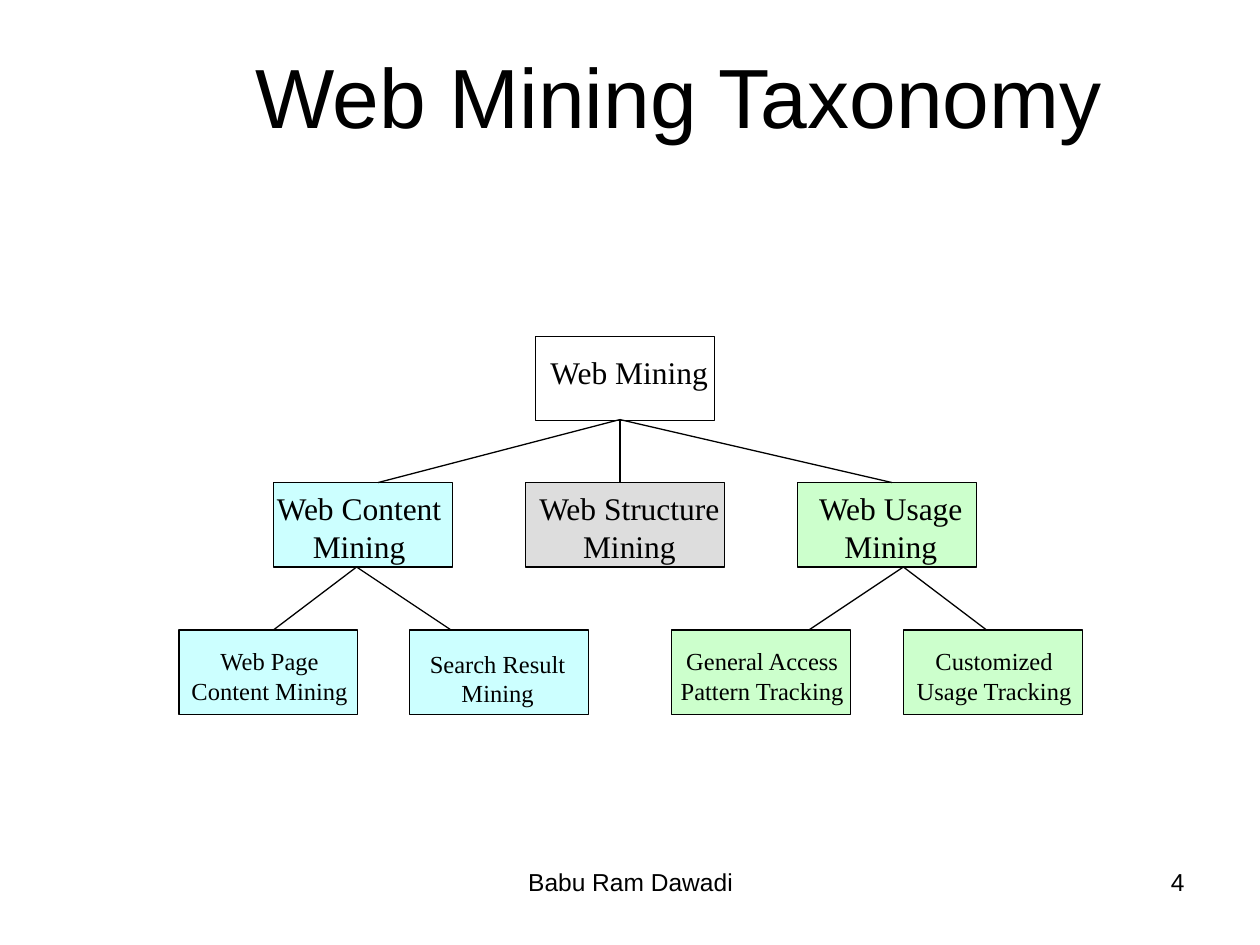
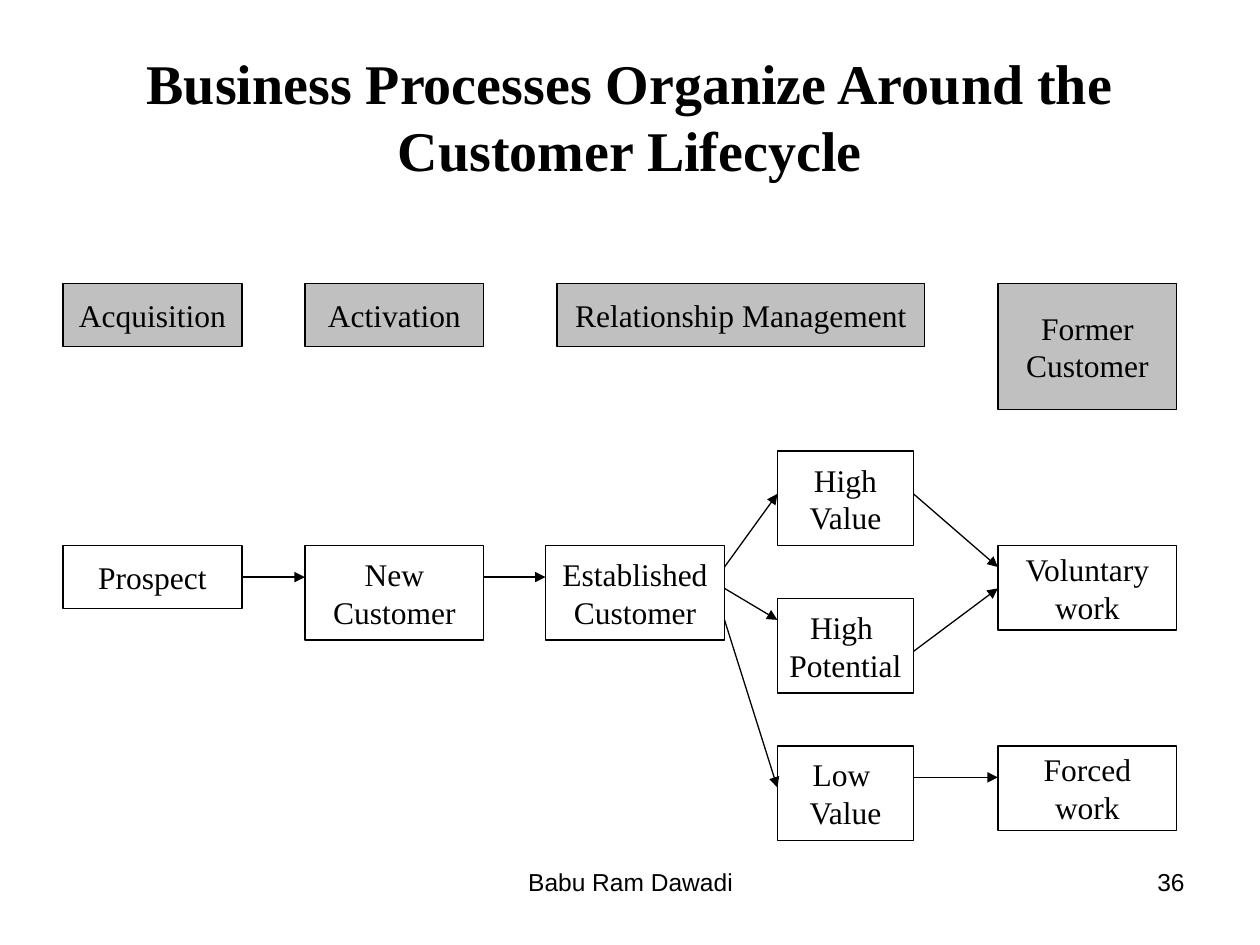
from lxml.etree import SubElement
from pptx import Presentation
from pptx.dml.color import RGBColor
from pptx.enum.shapes import MSO_CONNECTOR as Connector, MSO_SHAPE as Shape
from pptx.enum.text import MSO_ANCHOR as Anchor, PP_ALIGN as Align
from pptx.oxml.ns import qn
from pptx.util import Inches, Pt

BLACK, WHITE, SILVER, GRAY = "000000", "FFFFFF", "C0C0C0", "DDDDDD"
CYAN, GREEN = "CCFFFF", "CCFFCC"
SANS, SERIF = "Arial", "Times New Roman"


def color(hex_string):
    return RGBColor.from_string(hex_string)


class Deck:
    """Holds the shared style and the slide being built."""

    line_width = Pt(0.75)

    def __init__(self):
        self.prs = Presentation()
        self.prs.slide_width, self.prs.slide_height = Inches(10), Inches(7.5)
        self.slide = None

    def new_slide(self, number):
        self.slide = self.prs.slides.add_slide(self.prs.slide_layouts[6])
        self.text("Babu Ram Dawadi", (3.42, 6.83, 3.17, 0.52), 14, SANS, wrap=True)
        self.text(str(number), (7.17, 6.83, 2.33, 0.52), 14, SANS,
                  align=Align.RIGHT, wrap=True)

    def fill_frame(self, frame, words, size, font, bold=False, align=Align.CENTER,
                   anchor=Anchor.TOP, wrap=False):
        frame.text = words
        frame.word_wrap = wrap
        frame.vertical_anchor = anchor
        for paragraph in frame.paragraphs:
            paragraph.alignment = align
            for run in paragraph.runs:
                run.font.size = Pt(size)
                run.font.name = font
                run.font.bold = bold
                run.font.color.rgb = color(BLACK)

    def text(self, words, place, size, font=SERIF, **style):
        area = self.slide.shapes.add_textbox(*map(Inches, place))
        self.fill_frame(area.text_frame, words, size, font, **style)

    def title(self, words, place, size, font, bold=False):
        self.text(words, place, size, font, bold=bold, anchor=Anchor.MIDDLE, wrap=True)

    def box(self, place, fill=None, words=None):
        rect = self.slide.shapes.add_shape(Shape.RECTANGLE, *map(Inches, place))
        rect.shadow.inherit = False
        if fill:
            rect.fill.solid()
            rect.fill.fore_color.rgb = color(fill)
        else:
            rect.fill.background()
        rect.line.color.rgb = color(BLACK)
        rect.line.width = self.line_width
        if words:
            self.fill_frame(rect.text_frame, words, 18, SERIF, anchor=Anchor.MIDDLE)

    def line(self, start, end, arrow=False):
        link = self.slide.shapes.add_connector(
            Connector.STRAIGHT, *map(Inches, (*start, *end)))
        link.line.color.rgb = color(BLACK)
        link.line.width = self.line_width
        properties = link.element.spPr
        if arrow:
            SubElement(properties.find(qn("a:ln")), qn("a:tailEnd"), type="triangle")
        SubElement(properties, qn("a:effectLst"))


def build_taxonomy(deck):
    deck.new_slide(4)
    node_w, node_h = 1.42, 0.67
    root_y, branch_y, leaf_y = 2.67, 3.83, 5

    # Root
    root_bottom = (4.92, 3.33)
    deck.box((4.25, root_y, node_w, node_h))
    deck.text("Web Mining", (4.27, 2.75, 1.47, 0.4), 18, align=Align.LEFT)

    # Branches: name, left, width, fill, label left and width, link x
    branches = [
        ("Web Content\nMining", 2.17, node_w, CYAN, 2.09, 1.52, 3),
        ("Web Structure\nMining", 4.17, 1.58, GRAY, 4.17, 1.65, 4.92),
        ("Web Usage\nMining", 6.33, node_w, GREEN, 6.39, 1.36, 7.08),
    ]
    for name, left, width, fill, label_x, label_w, link_x in branches:
        deck.box((left, branch_y, width, node_h), fill)
        deck.text(name, (label_x, branch_y, label_w, 0.7), 18)
        deck.line(root_bottom, (link_x, branch_y))

    # Leaves: name, left, fill, label left, top and width, parent x, link x
    leaves = [
        ("Web Page\nContent Mining", 1.42, CYAN, 1.42, 5.08, 1.44, 2.83, 2.17),
        ("Search Result\nMining", 3.25, CYAN, 3.31, 5.1, 1.28, 2.83, 3.58),
        ("General Access\nPattern Tracking", 5.33, GREEN, 5.3, 5.08, 1.5, 7.17, 6.42),
        ("Customized\nUsage Tracking", 7.17, GREEN, 7.17, 5.08, 1.44, 7.17, 7.83),
    ]
    for name, left, fill, label_x, label_y, label_w, parent_x, link_x in leaves:
        deck.box((left, leaf_y, node_w, node_h), fill)
        deck.text(name, (label_x, label_y, label_w, 0.57), 14)
        deck.line((parent_x, 4.5), (link_x, leaf_y))

    deck.title("Web Mining Taxonomy", (1.5, 0.42, 7.77, 0.67), 48, SANS)


def build_lifecycle(deck):
    deck.new_slide(36)
    deck.title("Business Processes Organize Around the Customer Lifecycle",
               (0.75, 0.33, 8.5, 1.17), 32, SERIF, bold=True)
    step_w, value_w = 1.42, 1.08
    prospect_x, new_x, established_x, value_x, former_x = 0.5, 2.42, 4.33, 6.17, 7.92

    # Lifecycle phases
    for phase, left, width, height in [
        ("Acquisition", prospect_x, step_w, 0.5),
        ("Activation", new_x, step_w, 0.5),
        ("Relationship Management", 4.42, 2.92, 0.5),
        ("Former\nCustomer", former_x, step_w, 1),
    ]:
        deck.box((left, 2.25, width, height), SILVER, phase)

    # Customer states
    for state, left, top, width, height in [
        ("Prospect", prospect_x, 4.33, step_w, 0.5),
        ("New\nCustomer", new_x, 4.33, step_w, 0.75),
        ("Established\nCustomer", established_x, 4.33, step_w, 0.75),
        ("High\nValue", value_x, 3.58, value_w, 0.75),
        ("High \nPotential", value_x, 4.75, value_w, 0.75),
        ("Low \nValue", value_x, 5.92, value_w, 0.75),
        ("Voluntary\nwork", former_x, 4.33, step_w, 0.67),
        ("Forced\nwork", former_x, 5.92, step_w, 0.67),
    ]:
        deck.box((left, top, width, height), WHITE, state)

    # Transitions, from the right edge of one state to the left edge of the next
    for left, width, next_x, heights in [
        (prospect_x, step_w, new_x, [(4.58, 4.58)]),
        (new_x, step_w, established_x, [(4.58, 4.58)]),
        (established_x, step_w, value_x, [(4.5, 3.92), (4.67, 4.92), (4.92, 6.25)]),
        (value_x, value_w, former_x, [(3.92, 4.5), (5.17, 4.67), (6.17, 6.17)]),
    ]:
        for start_y, end_y in heights:
            deck.line((left + width, start_y), (next_x, end_y), arrow=True)


def main():
    deck = Deck()
    build_taxonomy(deck)
    build_lifecycle(deck)
    deck.prs.save("out.pptx")


if __name__ == "__main__":
    main()
